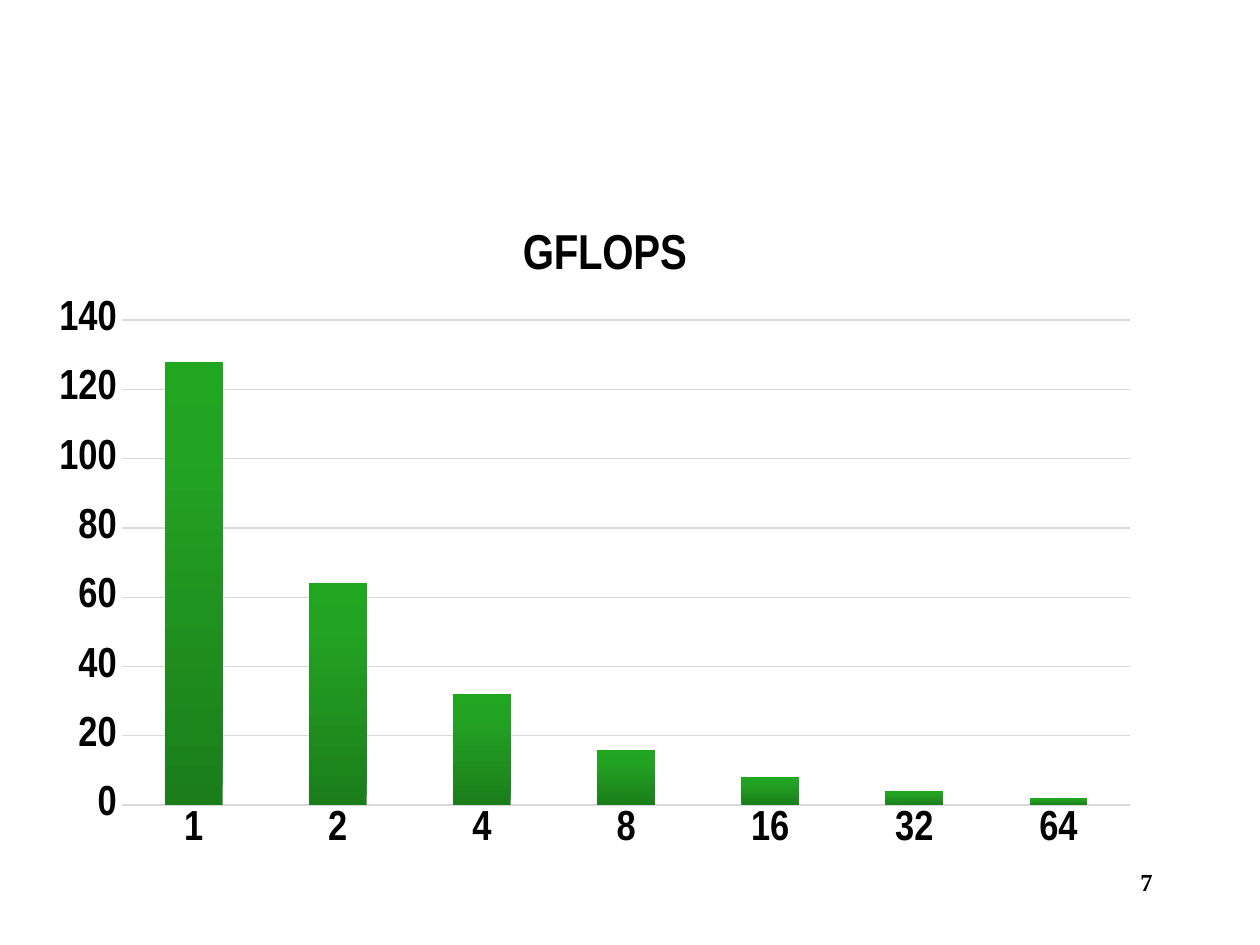
from lxml import etree
from pptx import Presentation
from pptx.chart.data import CategoryChartData
from pptx.dml.color import RGBColor
from pptx.enum.chart import XL_CHART_TYPE as ChartType, XL_TICK_MARK as Tick
from pptx.enum.text import PP_ALIGN as Align
from pptx.oxml import parse_xml
from pptx.oxml.ns import nsdecls, qn
from pptx.util import Pt

# Content
TITLE = "GFLOPS"
CATEGORIES = ["1", "2", "4", "8", "16", "32", "64"]
VALUES = [128, 64, 32, 16, 8, 4, 2]
PAGE_NUMBER = "7"

# Style, lengths in px
PX = 914400 // 126
COLORS = {"text": "000000", "grid": "D9D9D9"}
BAR_GRADIENT = [(0, "1B7E1B"), (80, "23A323"), (100, "20A620")]
CHART_BOX = (32, 192, 1121, 674)
NUMBER_BOX = (903, 861, 262, 63)
PLOT_LAYOUT = {"x": 0.08, "y": 0.19, "w": 0.9, "h": 0.72}
TITLE_LAYOUT = {"x": 0.43, "y": 0.04}


def emu(box):
    return [v * PX for v in box]


def style_font(font, size, name="Arial Narrow"):
    font.name, font.size, font.bold = name, Pt(size), True
    font.color.rgb = RGBColor.from_string(COLORS["text"])


def style_line(line, width):
    line.color.rgb = RGBColor.from_string(COLORS["grid"])
    line.width = Pt(width)


def manual_layout(parent, fractions, after=None):
    """Place a chart part by fractions of the chart area."""
    for old in parent.findall(qn("c:layout")):
        parent.remove(old)
    layout = etree.Element(qn("c:layout"))
    manual = etree.SubElement(layout, qn("c:manualLayout"))
    settings = [("layoutTarget", "inner")] if "w" in fractions else []
    settings += [(f"{k}Mode", "edge") for k in "xy"]
    settings += list(fractions.items())
    for tag, value in settings:
        etree.SubElement(manual, qn(f"c:{tag}")).set("val", str(value))
    if after is None:
        parent.insert(0, layout)
    else:
        after.addnext(layout)


prs = Presentation()
prs.slide_width, prs.slide_height = 1260 * PX, 945 * PX
slide = prs.slides.add_slide(prs.slide_layouts[6])

# Page number
tf = slide.shapes.add_textbox(*emu(NUMBER_BOX)).text_frame
tf.word_wrap = True
p = tf.paragraphs[0]
p.text, p.alignment = PAGE_NUMBER, Align.RIGHT
style_font(p.runs[0].font, 14, "Times New Roman")

# Column chart
data = CategoryChartData()
data.categories = CATEGORIES
data.add_series("Series 1", VALUES)
chart = slide.shapes.add_chart(
    ChartType.COLUMN_CLUSTERED, *emu(CHART_BOX), data).chart
chart.has_legend = False
style_font(chart.font, 10)
manual_layout(chart.plots[0]._element.getparent(), PLOT_LAYOUT)

# Chart title
title = chart.chart_title
title.text_frame.text = TITLE
style_font(title.text_frame.paragraphs[0].runs[0].font, 28)
title.include_in_layout = False
manual_layout(title._element, TITLE_LAYOUT, title._element.find(qn("c:tx")))

# Axes
cat_axis, val_axis = chart.category_axis, chart.value_axis
for axis in (cat_axis, val_axis):
    axis.major_tick_mark = axis.minor_tick_mark = Tick.NONE
    style_font(axis.tick_labels.font, 24)
style_line(cat_axis.format.line, 1)
val_axis.format.line.fill.background()
val_axis.minimum_scale, val_axis.maximum_scale, val_axis.major_unit = 0, 140, 20
style_line(val_axis.major_gridlines.format.line, 0.75)

# Bars, dark at the foot
plot = chart.plots[0]
plot.gap_width, plot.vary_by_categories = 150, False
fill = plot.series[0].format.fill
fill.gradient()
fill.gradient_angle = 90
stops = "".join(f'<a:gs pos="{pos * 1000}"><a:srgbClr val="{color}"/></a:gs>'
                for pos, color in BAR_GRADIENT)
old_stops = next(plot.series[0]._element.iter(qn("a:gsLst")))
old_stops.getparent().replace(
    old_stops, parse_xml(f'<a:gsLst {nsdecls("a")}>{stops}</a:gsLst>'))

prs.save("out.pptx")
